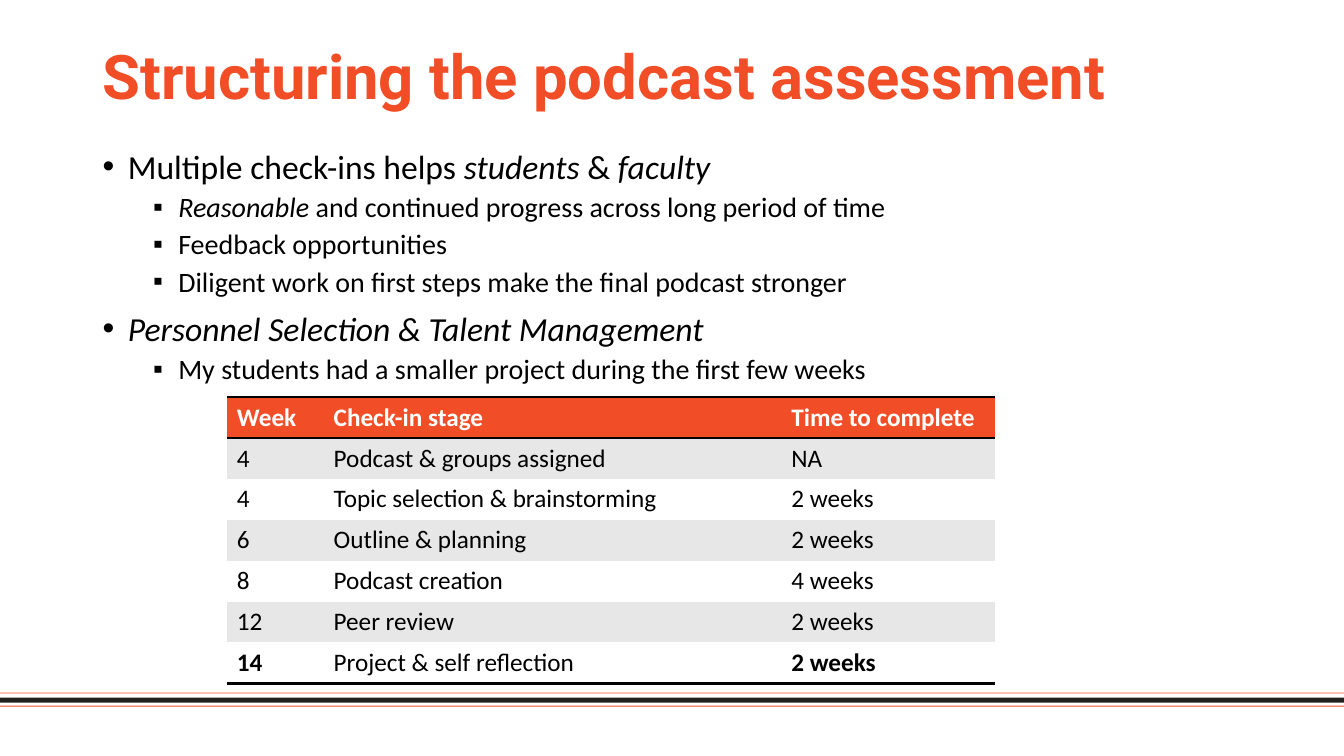
"""Build the slide on structuring the podcast assessment."""
import lxml.etree
import pptx
import pptx.dml.color
import pptx.enum.shapes
import pptx.enum.text
import pptx.oxml.ns
import pptx.util

Inches, Pt, qn = pptx.util.Inches, pptx.util.Pt, pptx.oxml.ns.qn

ORANGE, CHARCOAL, GRAY = "F14E28", "221F1F", "E7E7E7"
BLACK, WHITE = "000000", "FFFFFF"

TITLE = "Structuring the podcast assessment"
POINTS = [
    (0, [("Multiple check-ins helps ", False), ("students", True),
         (" & ", False), ("faculty", True)]),
    (1, [("Reasonable ", True),
         ("and continued progress across long period of time", False)]),
    (1, [("Feedback opportunities", False)]),
    (1, [("Diligent work on first steps make the final podcast stronger", False)]),
    (0, [("Personnel Selection & Talent Management", True)]),
    (1, [("My students had a smaller project during the first few weeks", False)]),
]
LEVELS = [
    {"size": 24, "before": 10, "indent": 0.25, "bullet": "•"},
    {"size": 20, "before": 5, "indent": 0.75, "bullet": "▪"},
]
SCHEDULE = [
    ("Week", "Check-in stage", "Time to complete"),
    ("4", "Podcast & groups assigned", "NA"),
    ("4", "Topic selection & brainstorming", "2 weeks"),
    ("6", "Outline & planning", "2 weeks"),
    ("8", "Podcast creation", "4 weeks"),
    ("12", "Peer review", "2 weeks"),
    ("14", "Project & self reflection", "2 weeks"),
]
COLUMN_WIDTHS = [0.96, 4.54, 2.12]
SCHEDULE_HEIGHT = 2.84
STRIPES = [(7, 0.01, ORANGE), (6.92, 0.05, CHARCOAL), (6.87, 0.01, ORANGE)]
NO_STYLE = "{2D5ABB26-0587-4C30-8999-92F81FD0307C}"


def rgb(value):
    return pptx.dml.color.RGBColor.from_string(value)


def set_font(paragraph, name, size, color, bold=False):
    font = paragraph.font
    font.name, font.size, font.bold = name, Pt(size), bold
    font.color.rgb = rgb(color)


def add_text_frame(slide, top, height):
    frame = slide.shapes.add_textbox(
        Inches(0.92), Inches(top), Inches(11.5), Inches(height)).text_frame
    frame.word_wrap = True
    return frame


def add_stripes(slide, width):
    for top, height, color in STRIPES:
        stripe = slide.shapes.add_shape(
            pptx.enum.shapes.MSO_SHAPE.RECTANGLE,
            0, Inches(top), width, Inches(height))
        stripe.shadow.inherit = False
        stripe.fill.solid()
        stripe.fill.fore_color.rgb = rgb(color)
        stripe.line.fill.background()


def add_title(slide):
    frame = add_text_frame(slide, 0.4, 0.78)
    frame.vertical_anchor = pptx.enum.text.MSO_ANCHOR.MIDDLE
    title = frame.paragraphs[0]
    title.text = TITLE
    title.line_spacing = 0.9
    set_font(title, "Roboto", 44, ORANGE, True)


def add_points(slide):
    frame = add_text_frame(slide, 1.44, 4.6)
    for index, (level, runs) in enumerate(POINTS):
        look = LEVELS[level]
        point = frame.add_paragraph() if index else frame.paragraphs[0]
        point.level = level
        point.line_spacing = 0.9
        point.space_before = Pt(look["before"] if index else 0)
        properties = point._p.get_or_add_pPr()
        properties.set("marL", str(Inches(look["indent"])))
        properties.set("indent", str(Inches(-0.25)))
        lxml.etree.SubElement(properties, qn("a:buFont"), typeface="Arial")
        lxml.etree.SubElement(properties, qn("a:buChar"), char=look["bullet"])
        set_font(point, "Calibri", look["size"], BLACK)
        for words, italic in runs:
            run = point.add_run()
            run.text = words
            run.font.italic = italic


def add_border(cell, side):
    border = lxml.etree.SubElement(
        cell._tc.get_or_add_tcPr(), qn(f"a:{side}"), w=str(Pt(2)))
    fill = lxml.etree.SubElement(border, qn("a:solidFill"))
    lxml.etree.SubElement(fill, qn("a:srgbClr"), val=BLACK)


def add_schedule(slide):
    last = len(SCHEDULE) - 1
    frame = slide.shapes.add_table(
        len(SCHEDULE), len(COLUMN_WIDTHS), Inches(2.25), Inches(3.94),
        Inches(sum(COLUMN_WIDTHS)), Inches(SCHEDULE_HEIGHT))
    frame._element.xpath(".//a:tableStyleId")[0].text = NO_STYLE
    schedule = frame.table
    for column, width in zip(schedule.columns, COLUMN_WIDTHS):
        column.width = Inches(width)
    for r, entries in enumerate(SCHEDULE):
        schedule.rows[r].height = Inches(SCHEDULE_HEIGHT / len(SCHEDULE))
        band = ORANGE if r == 0 else GRAY if r % 2 else WHITE
        sides = {0: ("lnT", "lnB"), last: ("lnB",)}.get(r, ())
        for c, entry in enumerate(entries):
            cell = schedule.cell(r, c)
            for side in sides:
                add_border(cell, side)
            cell.fill.solid()
            cell.fill.fore_color.rgb = rgb(band)
            cell.text = entry
            set_font(cell.text_frame.paragraphs[0], "Calibri", 18,
                     BLACK if r else WHITE, r == 0 or (r == last and c != 1))


def main():
    deck = pptx.Presentation()
    deck.slide_width, deck.slide_height = Inches(13.33), Inches(7.5)
    slide = deck.slides.add_slide(deck.slide_layouts[6])
    add_stripes(slide, deck.slide_width)
    add_title(slide)
    add_points(slide)
    add_schedule(slide)
    deck.save("out.pptx")


if __name__ == "__main__":
    main()
